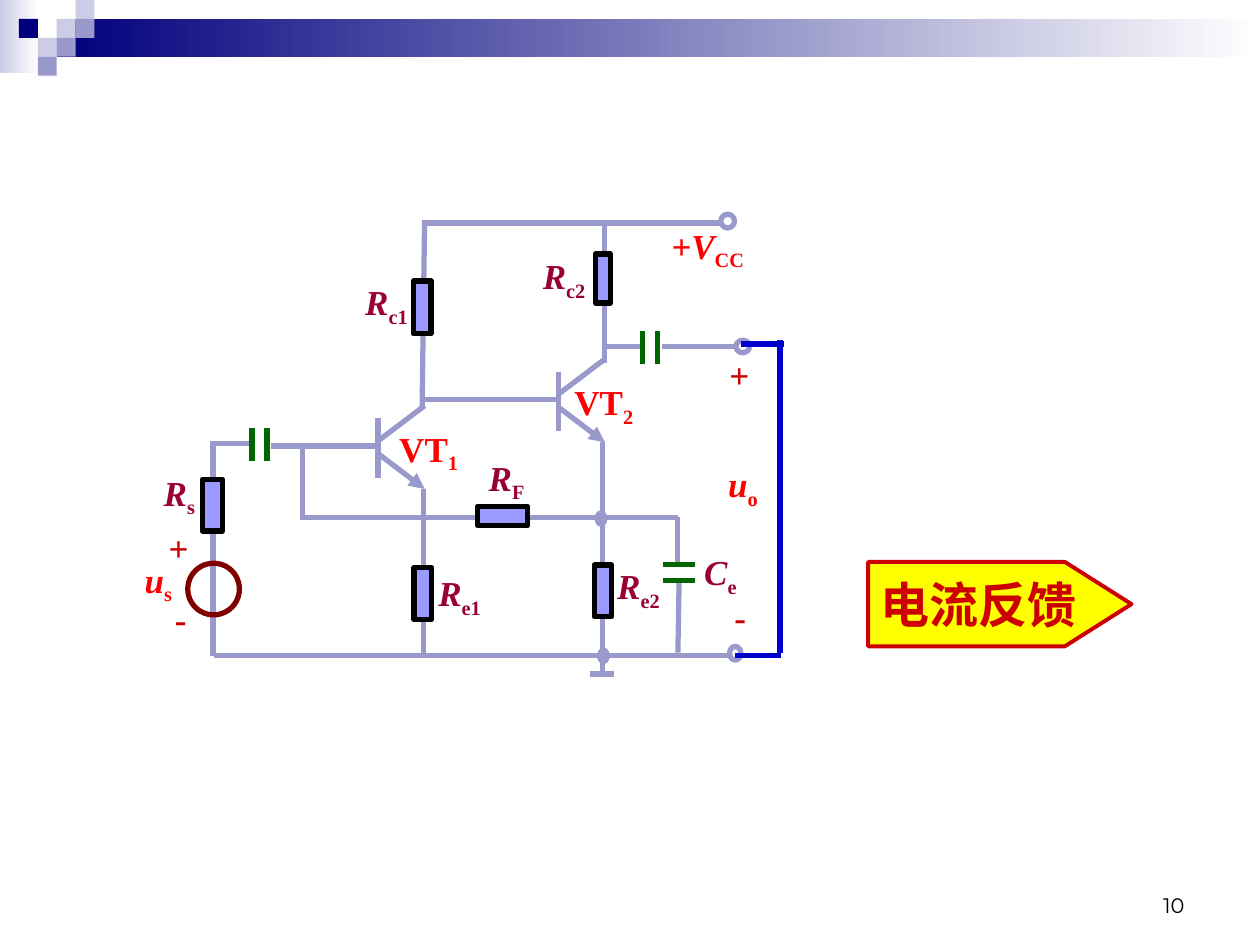
from pptx import Presentation
from pptx.dml.color import RGBColor
from pptx.enum.shapes import MSO_CONNECTOR, MSO_SHAPE
from pptx.enum.text import MSO_ANCHOR, MSO_AUTO_SIZE, PP_ALIGN
from pptx.oxml.ns import qn
from pptx.util import Inches, Pt
from lxml.etree import SubElement

SERIF = "Times New Roman"
WIRE, PLATE, OUTPUT = "9999CC", "006600", "0000CC"
RED, SIGN, MAROON = "FF0000", "CC0000", "990033"
NAVY, LILAC = "00007D", "CCCCE6"


def color(value):
    return RGBColor.from_string(value)


def add_box(s, kind, x, y, w, h, fill=None, line=None, width=3):
    sp = s.shapes.add_shape(kind, Inches(x), Inches(y), Inches(w), Inches(h))
    sp.shadow.inherit = False
    if fill:
        sp.fill.solid()
        sp.fill.fore_color.rgb = color(fill)
    else:
        sp.fill.background()
    if line:
        sp.line.color.rgb = color(line)
        sp.line.width = Pt(width)
    else:
        sp.line.fill.background()
    return sp


def add_line(s, x1, y1, x2, y2, line=WIRE, arrow=False):
    c = s.shapes.add_connector(MSO_CONNECTOR.STRAIGHT, Inches(x1), Inches(y1),
                               Inches(x2), Inches(y2))
    c.line.color.rgb = color(line)
    c.line.width = Pt(3)
    if arrow:
        SubElement(c.line._get_or_add_ln(), qn("a:tailEnd"), type="triangle")
    SubElement(c._element.spPr, qn("a:effectLst"))


def add_run(p, text, size, fill, font=SERIF, bold=True, italic=False):
    r = p.add_run()
    r.text = text
    r.font.size, r.font.name = Pt(size), font
    r.font.bold, r.font.italic = bold, italic
    r.font.color.rgb = color(fill)
    return r


def add_label(s, x, y, w, h, text, sub, fill, italic):
    tf = s.shapes.add_textbox(Inches(x), Inches(y), Inches(w), Inches(h)).text_frame
    tf.word_wrap = True
    tf.auto_size = MSO_AUTO_SIZE.SHAPE_TO_FIT_TEXT
    p = tf.paragraphs[0]
    add_run(p, text, 20, fill, italic=italic)
    if sub:
        r = add_run(p, sub, 20, fill)
        r.font._element.set("baseline", "-25000")


def header(s, x, y, w):
    # Gradient bands
    for dx, dy, bw, bh, start in [(0, 0, 0.31, 0.58, LILAC),
                                  (0.45, 0.15, w - 0.45, 0.3, NAVY)]:
        sp = add_box(s, MSO_SHAPE.RECTANGLE, x + dx, y + dy, bw, bh)
        sp.fill.gradient()
        sp.fill.gradient_angle = 0
        for stop, position, value in zip(sp.fill.gradient_stops, (0, 1),
                                         (start, "FFFFFF")):
            stop.position = position
            stop.color.rgb = color(value)
    # Mosaic squares: column, row, colour
    side = 0.15
    for col, row, fill in [(3, 1, LILAC), (4, 0, LILAC), (4, 1, WIRE), (2, 2, LILAC),
                           (1, 1, NAVY), (3, 2, WIRE), (2, 3, WIRE)]:
        add_box(s, MSO_SHAPE.RECTANGLE, x + col * side, y + row * side, side, side, fill)


def transistor(s, x, y):
    add_line(s, x, y, x, y + 0.47)
    add_line(s, x, y + 0.18, x + 0.37, y - 0.1)
    add_line(s, x, y + 0.28, x + 0.37, y + 0.56, arrow=True)


def circuit(s, x, y):
    # Wires
    for x1, y1, x2, y2 in [
            (3.78, 2.51, 3.78, 4.34), (2.36, 2.88, 2.36, 4.2), (2, 2.54, 1.15, 2.54),
            (3.8, 1.88, 3.8, 0.75), (3.42, 2.17, 2.37, 2.17), (2.35, 2.24, 2.37, 0.76),
            (4.38, 3.11, 1.42, 3.11), (1.4, 2.53, 1.4, 3.13), (0.99, 2.52, 0.69, 2.52),
            (4.86, 1.75, 4.25, 1.75), (4.09, 1.75, 3.78, 1.75), (4.38, 4.18, 4.39, 3.62),
            (0.69, 4.21, 0.69, 2.5), (4.38, 3.47, 4.38, 3.1), (0.7, 4.2, 4.79, 4.2),
            (4.72, 0.77, 2.35, 0.77), (3.68, 4.35, 3.87, 4.35)]:
        add_line(s, x + x1, y + y1, x + x2, y + y2)

    # Transistors VT1 and VT2
    transistor(s, x + 2, y + 2.32)
    transistor(s, x + 3.43, y + 1.95)

    # Capacitor plates
    for cx, cy in [(1, 2.4), (4.1, 1.63)]:
        for dx in (0, 0.12):
            add_line(s, x + cx + dx, y + cy, x + cx + dx, y + cy + 0.26, PLATE)
    for cy in (3.48, 3.61):
        add_line(s, x + 4.26, y + cy, x + 4.52, y + cy, PLATE)

    # Resistors: left, top, length, thickness, rotation
    for rx, ry, w, h, turn in [
            (3.58, 3.62, 0.41, 0.14, 90), (3.59, 1.15, 0.39, 0.12, 90),
            (2.79, 3.02, 0.4, 0.15, 0), (2.15, 3.64, 0.41, 0.14, 90),
            (0.48, 2.93, 0.41, 0.16, 90), (2.14, 1.37, 0.42, 0.14, 90)]:
        sp = add_box(s, MSO_SHAPE.RECTANGLE, x + rx, y + ry, w, h, "9999FF", "000000")
        sp.rotation = turn

    # Terminals, junctions and signal source
    for ex, ey, w, h, fill, line in [
            (4.79, 4.13, 0.09, 0.11, None, WIRE), (4.72, 0.7, 0.11, 0.11, None, WIRE),
            (4.84, 1.7, 0.11, 0.1, None, WIRE), (3.74, 3.07, 0.06, 0.09, WIRE, WIRE),
            (3.76, 4.16, 0.06, 0.09, WIRE, WIRE), (0.49, 3.47, 0.41, 0.41, None, "800000")]:
        add_box(s, MSO_SHAPE.OVAL, x + ex, y + ey, w, h, fill, line)

    # Component names and voltages
    for lx, ly, w, text, sub, fill in [
            (2.07, 2.34, 0.71, "VT", "1", RED), (3.46, 1.97, 0.75, "VT", "2", RED),
            (3.21, 0.97, 0.63, "R", "c2", MAROON), (1.8, 1.18, 0.57, "R", "c1", MAROON),
            (3.8, 3.43, 0.6, "R", "e2", MAROON), (2.38, 3.49, 0.58, "R", "e1", MAROON),
            (0.2, 2.69, 0.51, "R", "s", MAROON), (2.78, 2.57, 0.52, "R", "F", MAROON),
            (4.23, 0.73, 0.84, "+V", "CC", RED), (4.68, 2.62, 0.57, "u", "o", RED),
            (4.49, 3.32, 0.48, "C", "e", MAROON), (0.05, 3.38, 0.47, "u", "s", RED)]:
        add_label(s, x + lx, y + ly, w, 0.48, text, sub, fill, text != "VT")

    # Polarity signs
    for lx, ly, w, sign in [(0.24, 3.13, 0.41, "+"), (0.29, 3.69, 0.33, "-"),
                            (4.69, 1.76, 0.38, "+"), (4.73, 3.68, 0.46, "-")]:
        add_label(s, x + lx, y + ly, w, 0.44, sign, "", SIGN, False)

    # Shorted output
    for x1, y1, x2, y2 in [(5.19, 1.7, 5.19, 4.18), (4.88, 1.73, 5.22, 1.73),
                           (4.83, 4.2, 5.2, 4.2)]:
        add_line(s, x + x1, y + y1, x + x2, y + y2, OUTPUT)


def conclusion(s, x, y, w, h):
    sp = add_box(s, MSO_SHAPE.PENTAGON, x, y, w, h, "FFFF00", SIGN, 2.25)
    sp.adjustments[0] = 0.79
    tf = sp.text_frame
    tf.word_wrap = False
    tf.vertical_anchor = MSO_ANCHOR.MIDDLE
    p = tf.paragraphs[0]
    p.alignment = PP_ALIGN.LEFT
    add_run(p, "电流反馈", 28, SIGN)


def page_number(s, x, y, w, h):
    tf = s.shapes.add_textbox(Inches(x), Inches(y), Inches(w), Inches(h)).text_frame
    tf.word_wrap = True
    tf.vertical_anchor = MSO_ANCHOR.BOTTOM
    p = tf.paragraphs[0]
    p.alignment = PP_ALIGN.RIGHT
    add_run(p, "10", 12, "000000", "Montserrat", bold=False)


def main():
    prs = Presentation()
    prs.slide_width, prs.slide_height = Inches(10), Inches(7.5)
    s = prs.slides.add_slide(prs.slide_layouts[6])
    header(s, 0, 0, 10)
    page_number(s, 7.17, 6.83, 2.33, 0.5)
    conclusion(s, 6.89, 4.46, 2.09, 0.67)
    circuit(s, 1, 1)
    prs.save("out.pptx")


if __name__ == "__main__":
    main()
